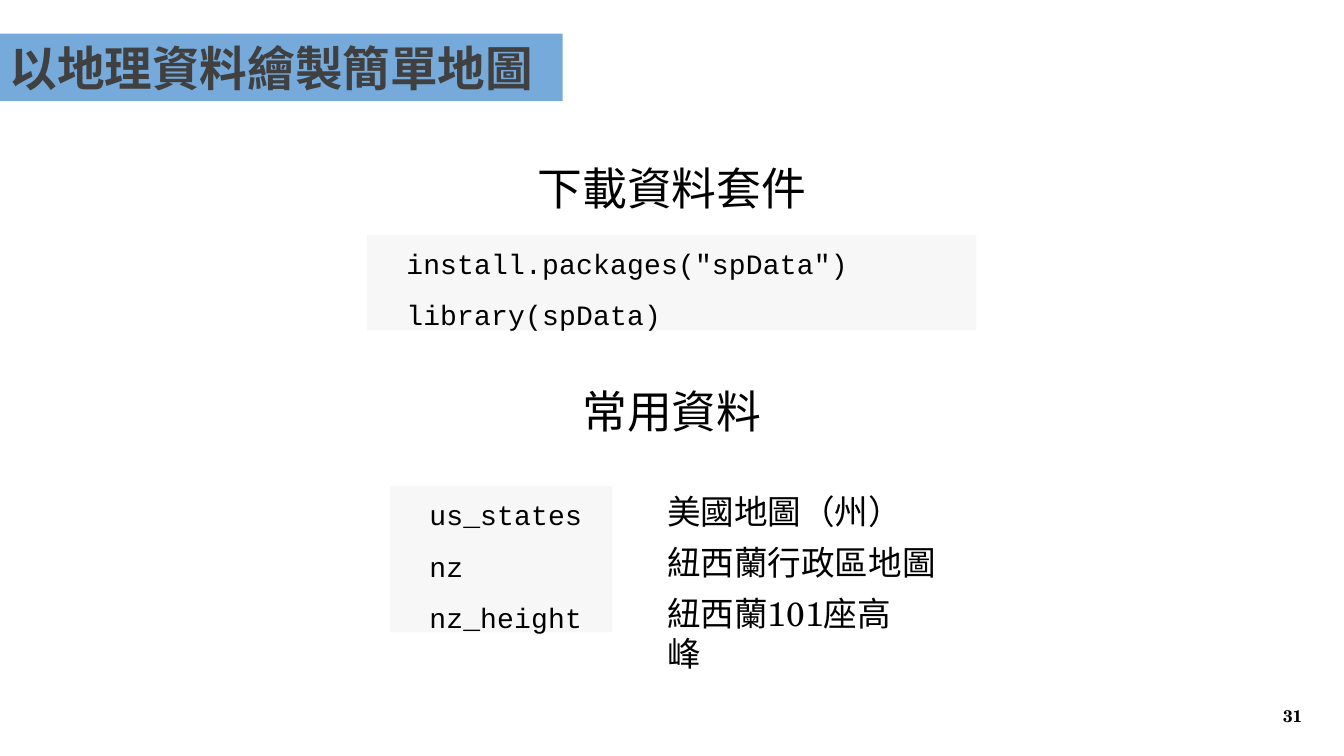
from lxml import etree
from pptx import Presentation
from pptx.dml.color import RGBColor
from pptx.enum.shapes import MSO_SHAPE
from pptx.enum.text import MSO_ANCHOR, PP_ALIGN
from pptx.oxml.ns import qn
from pptx.util import Cm, Pt

RECT = MSO_SHAPE.RECTANGLE
TOP, MIDDLE = MSO_ANCHOR.TOP, MSO_ANCHOR.MIDDLE
LEFT, CENTER, RIGHT = PP_ALIGN.LEFT, PP_ALIGN.CENTER, PP_ALIGN.RIGHT

COLORS = {"band": "75AADB", "code": "F7F7F7", "title": "404040", "text": "000000"}
SANS, SERIF, MONO = "Noto Sans CJK SC", "TeX Gyre Schola", "Courier New"
WIDTH, HEIGHT = 33.87, 19.05


def color(name):
    return RGBColor.from_string(COLORS[name])


def write(shape, lines, *, size, font=SERIF, ink="text", bold=False, align=LEFT,
          anchor=TOP, gap=0, indent=0, track=0, inset=0.13):
    """Fill a shape with one paragraph per line; gap and track are in points."""
    frame = shape.text_frame
    frame.word_wrap = True
    frame.vertical_anchor = anchor
    frame.margin_top = Cm(inset)
    for i, line in enumerate(lines):
        para = frame.paragraphs[0] if i == 0 else frame.add_paragraph()
        para.alignment = align
        if i and gap:
            para.space_before = Pt(gap)
        if indent:
            para._p.get_or_add_pPr().set("indent", str(Cm(indent)))
        run = para.add_run()
        run.text = line
        run.font.size = Pt(size)
        run.font.bold = bold
        run.font.color.rgb = color(ink)
        run.font.name = font
        props = run._r.get_or_add_rPr()
        etree.SubElement(props, qn("a:ea")).set("typeface", font)
        if track:
            props.set("spc", str(round(track * 100)))


def panel(slide, left, top, width, height, fill):
    shape = slide.shapes.add_shape(RECT, Cm(left), Cm(top), Cm(width), Cm(height))
    shape.shadow.inherit = False
    shape.fill.solid()
    shape.fill.fore_color.rgb = color(fill)
    shape.line.fill.background()
    return shape


def label(slide, lines, left, top, width, height, **style):
    box = slide.shapes.add_textbox(Cm(left), Cm(top), Cm(width), Cm(height))
    write(box, lines, **style)


def heading(slide, text, top, width):
    label(slide, [text], (WIDTH - width) / 2, top, width, 1.62, size=32, align=CENTER)


def code(slide, lines, left, top, width, height):
    write(panel(slide, left, top, width, height, "code"), lines, size=20, font=MONO,
          gap=13, indent=0.74, track=0.1, inset=0.28)


def main():
    deck = Presentation()
    deck.slide_width, deck.slide_height = Cm(WIDTH), Cm(HEIGHT)
    slide = deck.slides.add_slide(deck.slide_layouts[6])

    band = panel(slide, 0, 0.85, 14.18, 1.7, "band")
    write(band, ["以地理資料繪製簡單地圖"], size=34, font=SANS, ink="title", bold=True,
          anchor=MIDDLE)

    heading(slide, "下載資料套件", 3.91, 7.4)
    code(slide, ['install.packages("spData")', "library(spData)"], 9.25, 5.92, 15.36, 2.4)

    heading(slide, "常用資料", 9.53, 5.1)
    data = [
        ("us_states", "美國地圖（州）", 6.5),
        ("nz", "紐西蘭行政區地圖", 7.4),
        ("nz_height", "紐西蘭101座高峰", 6.9),
    ]
    code(slide, [name for name, _, _ in data], 9.83, 12.25, 5.6, 3.68)
    for i, (_, note, width) in enumerate(data):
        label(slide, [note], 16.56, 12.25 + 1.28 * i, width, 1.28, size=24)

    label(slide, ["31"], 25.45, 17.65, 7.62, 1.02, size=12, bold=True, align=RIGHT)
    deck.save("out.pptx")


if __name__ == "__main__":
    main()
